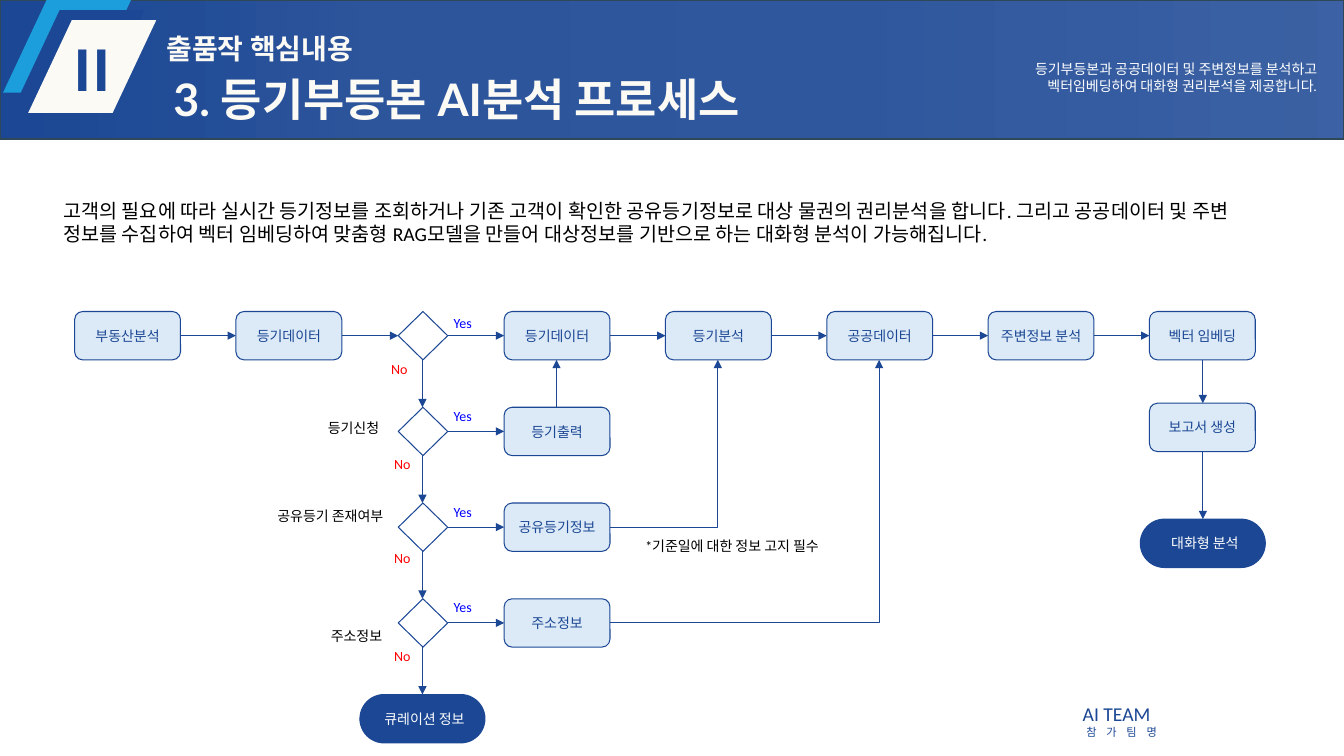
from pptx import Presentation
from pptx.dml.color import RGBColor
from pptx.enum.shapes import MSO_CONNECTOR as CONNECTOR, MSO_SHAPE as SHAPE
from pptx.enum.text import MSO_ANCHOR as ANCHOR, PP_ALIGN as ALIGN
from pptx.oxml import parse_xml
from pptx.oxml.ns import nsdecls, qn
from pptx.oxml.xmlchemy import OxmlElement
from pptx.util import Pt

PX = 9144  # 100 px to the inch
NAVY, SKY, IVORY, PALE = "1B4794", "1B9EDB", "FCFAF4", "DCEAF7"
WHITE, BLACK, BLUE, RED = "FFFFFF", "000000", "0000FF", "FF0000"
BODY, HEADING, KOREAN = "Calibri", "Lato", "Noto Sans CJK KR"

TITLE = "3. 등기부등본 AI분석 프로세스"
SECTION = "출품작 핵심내용"
SUMMARY = "등기부등본과 공공데이터 및 주변정보를 분석하고\n벡터임베딩하여 대화형 권리분석을 제공합니다."
INTRO = ("고객의 필요에 따라 실시간 등기정보를 조회하거나 기존 고객이 확인한 공유등기정보로 "
         "대상 물권의 권리분석을 합니다. 그리고 공공데이터 및 주변 정보를 수집하여 벡터 임베딩하여 "
         "맞춤형 RAG모델을 만들어 대상정보를 기반으로 하는 대화형 분석이 가능해집니다.")
NOTE = "*기준일에 대한 정보 고지 필수"
TEAM, TEAM_KOREAN = "AI TEAM", "참가팀명"

INPUT_STEPS = ["부동산분석", "등기데이터"]
MAIN_STEPS = ["등기데이터", "등기분석", "공공데이터", "주변정보 분석", "벡터 임베딩"]
FALLBACK_STEPS = ["등기출력", "공유등기정보", "주소정보"]
REPORT, DIALOGUE, CURATION = "보고서 생성", "대화형 분석", "큐레이션 정보"
QUESTIONS = [("등기신청", 262, 416), ("공유등기 존재여부", 266, 503), ("주소정보", 265, 623)]
NO_LABELS = [(376, 358), (379, 452), (379, 545), (379, 642)]
BADGE_PLATES = [(3, 0, SKY), (16, 10, NAVY), (28, 20, IVORY)]
BANNER_STOPS = [(0, 85), (34, 90), (74, 92), (83, 95), (100, 100)]

BOX_W, BOX_H, COLUMN_STEP, ROW_STEP = 105, 48, 160, 95
INPUT_X, MAIN_X, TOP = 74, 500, 309
DIAMOND_X, DIAMOND_W, TERMINAL_W = 395, 49, 124
DECISION_X = 419
REPORT_Y, DIALOGUE_Y = 400, 515

presentation = Presentation()
presentation.slide_width, presentation.slide_height = 1333 * PX, 750 * PX
slide = presentation.slides.add_slide(presentation.slide_layouts[6])


def rgb(color):
    return RGBColor.from_string(color)


def write(shape, text, size, color, font=BODY, bold=False, align=ALIGN.LEFT,
          margins=(0, 0, 0, 0), anchor=ANCHOR.TOP):
    frame = shape.text_frame
    frame.word_wrap = True
    frame.vertical_anchor = anchor
    (frame.margin_left, frame.margin_top,
     frame.margin_right, frame.margin_bottom) = (margin * PX for margin in margins)
    frame.text = text
    for paragraph in frame.paragraphs:
        paragraph.alignment = align
        for run in paragraph.runs:
            run.font.name, run.font.size, run.font.bold = font, Pt(size), bold
            run.font.color.rgb = rgb(color)
            east_asian = OxmlElement("a:ea")
            east_asian.set("typeface", KOREAN)
            run.font._element.append(east_asian)


def add_text(x, y, width, height, text, size, color, **style):
    box = slide.shapes.add_textbox(x * PX, y * PX, width * PX, height * PX)
    write(box, text, size, color, **style)
    return box


def add_shape(kind, x, y, width, height, fill=None, line=None, weight=0.75):
    shape = slide.shapes.add_shape(kind, x * PX, y * PX, width * PX, height * PX)
    shape.shadow.inherit = False
    if fill:
        shape.fill.solid()
        shape.fill.fore_color.rgb = rgb(fill)
    if line:
        shape.line.color.rgb = rgb(line)
        shape.line.width = Pt(weight)
    else:
        shape.line.fill.background()
    return shape


def add_step(x, y, text):
    box = add_shape(SHAPE.ROUNDED_RECTANGLE, x, y, BOX_W, BOX_H, PALE, NAVY)
    write(box, text, 10, NAVY, align=ALIGN.CENTER, margins=(2, 6, 2, 6), anchor=ANCHOR.MIDDLE)


def add_terminal(center_x, y, text):
    pill = add_shape(SHAPE.ROUNDED_RECTANGLE, center_x - TERMINAL_W // 2, y,
                     TERMINAL_W, BOX_H, NAVY, NAVY)
    pill.adjustments[0] = 0.5
    write(pill, text, 10, WHITE, align=ALIGN.CENTER, margins=(5, 6, 1, 6), anchor=ANCHOR.MIDDLE)


def add_arrow(x1, y1, x2, y2, kind=CONNECTOR.STRAIGHT):
    arrow = slide.shapes.add_connector(kind, x1 * PX, y1 * PX, x2 * PX, y2 * PX)
    arrow.line.color.rgb = rgb(NAVY)
    arrow.line.width = Pt(0.75)
    properties = arrow._element.spPr
    head = OxmlElement("a:tailEnd")
    head.set("type", "triangle")
    properties.find(qn("a:ln")).append(head)
    properties.append(OxmlElement("a:effectLst"))
    if kind == CONNECTOR.ELBOW:  # a single right-angle turn
        properties.find(qn("a:prstGeom")).set("prst", "bentConnector2")


def add_answer(x, y, text, color):
    add_text(x, y, 40, 18, text, 10, color, align=ALIGN.CENTER)


def add_banner():
    banner = add_shape(SHAPE.RECTANGLE, 0, 0, 1333, 138, line="2F4857", weight=1)
    stops = "".join(
        f'<a:gs pos="{position * 1000}"><a:srgbClr val="{NAVY}">'
        f'<a:alpha val="{alpha * 1000}"/></a:srgbClr></a:gs>'
        for position, alpha in BANNER_STOPS)
    banner._element.spPr.insert(2, parse_xml(
        f'<a:gradFill {nsdecls("a")} rotWithShape="1"><a:gsLst>{stops}</a:gsLst>'
        '<a:lin ang="10800000" scaled="0"/></a:gradFill>'))


def add_header():
    add_banner()
    for x, y, color in BADGE_PLATES:
        plate = add_shape(SHAPE.PARALLELOGRAM, x, y, 127, 92, color)
        plate.adjustments[0] = 0.47
    add_text(29, 35, 125, 67, "II", 40, NAVY, font=KOREAN, bold=True, align=ALIGN.CENTER)
    add_text(165, 31, 630, 34, SECTION, 20, IVORY, font=HEADING, bold=True)
    title = add_text(164, 64, 1090, 74, TITLE, 32, IVORY, font=HEADING, bold=True,
                     margins=(8, 4, 8, 4), anchor=ANCHOR.MIDDLE)
    title.text_frame.paragraphs[0].line_spacing = 0.9
    add_text(577, 55, 739, 44, SUMMARY, 10, WHITE, align=ALIGN.RIGHT, margins=(10, 5, 10, 5))


def add_footer():
    add_text(1050, 696, 115, 24, TEAM, 14, NAVY, align=ALIGN.CENTER, margins=(4, 0, 4, 0))
    tagline = add_text(1050, 720, 125, 13, TEAM_KOREAN, 8, NAVY,
                       align=ALIGN.CENTER, margins=(4, 0, 4, 0))
    tagline.text_frame.paragraphs[0].runs[0].font._element.set("spc", "700")


def add_flow():
    middle = TOP + BOX_H // 2
    bottom = TOP + BOX_H
    diamond_right = DIAMOND_X + DIAMOND_W
    rows = [TOP + ROW_STEP * row for row in range(5)]
    inputs = [INPUT_X + COLUMN_STEP * column for column in range(len(INPUT_STEPS))]
    mains = [MAIN_X + COLUMN_STEP * column for column in range(len(MAIN_STEPS))]
    centers = [x + BOX_W // 2 for x in mains]

    for x, text in zip(inputs + mains, INPUT_STEPS + MAIN_STEPS):
        add_step(x, TOP, text)
    for y, text in zip(rows[1:], FALLBACK_STEPS):
        add_step(MAIN_X, y, text)
    for x, next_x in zip(inputs, inputs[1:] + [DIAMOND_X]):
        add_arrow(x + BOX_W, middle, next_x, middle)
    for x, next_x in zip(mains, mains[1:]):
        add_arrow(x + BOX_W, middle, next_x, middle)

    for y, next_y, (no_x, no_y) in zip(rows, rows[1:], NO_LABELS):
        add_shape(SHAPE.DIAMOND, DIAMOND_X, y, DIAMOND_W, BOX_H, WHITE, NAVY)
        add_arrow(diamond_right, y + BOX_H // 2, MAIN_X, y + BOX_H // 2)
        add_arrow(DECISION_X, y + BOX_H, DECISION_X, next_y)
        add_answer(439, 312 if y == TOP else y, "Yes", BLUE)
        add_answer(no_x, no_y, "No", RED)
    for text, x, y in QUESTIONS:
        add_text(x, y, 114, 18, text, 10, BLACK, align=ALIGN.RIGHT)
    add_terminal(DECISION_X, rows[4], CURATION)

    add_arrow(centers[0], rows[1], centers[0], bottom)
    for y, center in zip(rows[2:4], centers[1:3]):
        add_arrow(MAIN_X + BOX_W, y + BOX_H // 2, center, bottom, CONNECTOR.ELBOW)
    add_text(612, 533, 200, 17, NOTE, 10, BLACK, align=ALIGN.RIGHT)

    last = centers[-1] + 1
    add_step(mains[-1], REPORT_Y, REPORT)
    add_terminal(last, DIALOGUE_Y, DIALOGUE)
    add_arrow(last, bottom, last, REPORT_Y)
    add_arrow(last, REPORT_Y + BOX_H, last, DIALOGUE_Y)


add_footer()
add_header()
add_flow()
add_text(53, 192, 1226, 57, INTRO, 14, BLACK, margins=(10, 5, 10, 5))
presentation.save("out.pptx")
